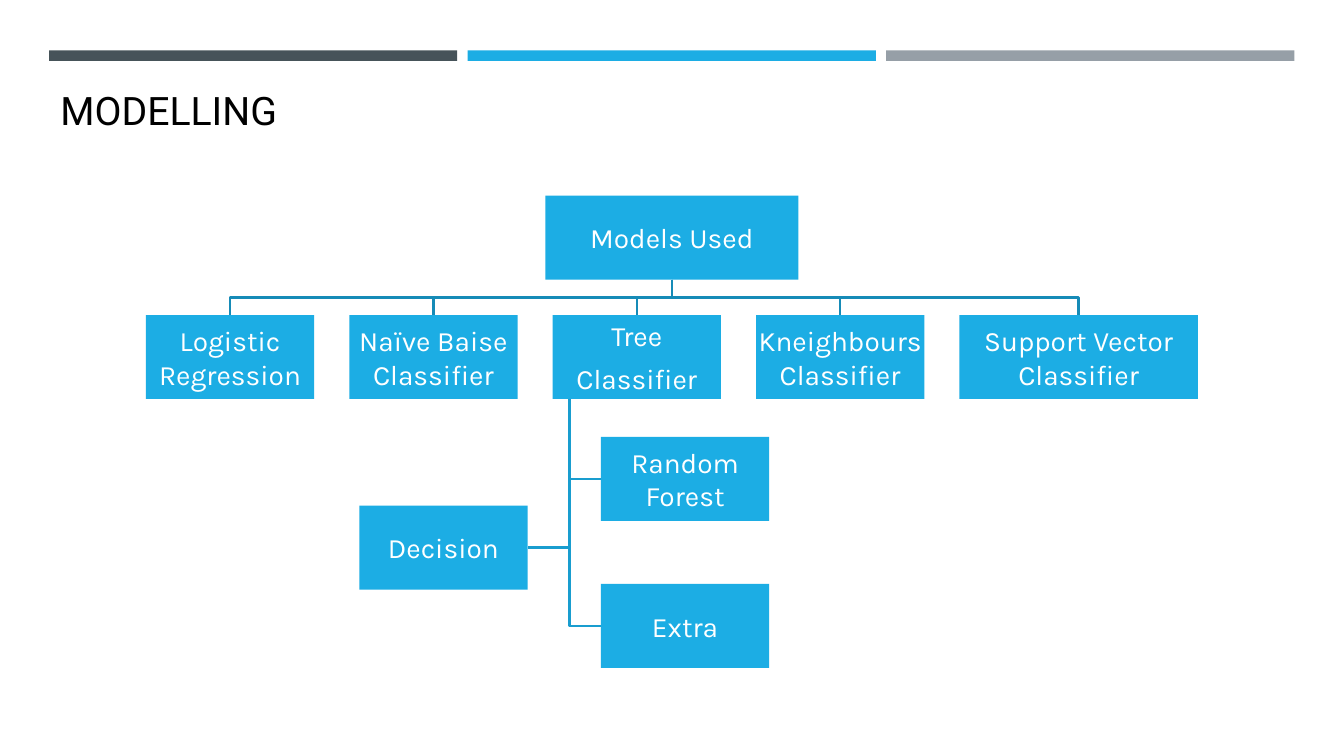
from dataclasses import dataclass

import pptx
import pptx.dml.color
import pptx.enum.shapes
import pptx.enum.text
import pptx.slide
import pptx.util
from pptx.util import Pt

SLATE = pptx.dml.color.RGBColor(0x46, 0x53, 0x59)
SKY = pptx.dml.color.RGBColor(0x1C, 0xAD, 0xE4)
GREY = pptx.dml.color.RGBColor(0x96, 0x9F, 0xA7)
BRANCH = pptx.dml.color.RGBColor(0x16, 0x8B, 0xB7)
SUB_BRANCH = pptx.dml.color.RGBColor(0x19, 0x9D, 0xCF)
BLACK = pptx.dml.color.RGBColor(0, 0, 0)
WHITE = pptx.dml.color.RGBColor(255, 255, 255)

BAND_LEFT, BAND_TOP, BAND_WIDTH, BAND_HEIGHT, BAND_PITCH = 35, 36, 291.6, 7.5, 299
NODE_WIDTH, NODE_HEIGHT = 120.2, 60
ROW_LEFT, ROW_TOP, NODE_GAP = 104.3, 225, 25.05
TRUNK_INSET = 12


@dataclass
class Node:
    label: str
    left: float
    top: float
    width: float = NODE_WIDTH

    @property
    def center(self) -> float:
        return self.left + self.width / 2

    @property
    def middle(self) -> float:
        return self.top + NODE_HEIGHT / 2

    @property
    def right(self) -> float:
        return self.left + self.width

    @property
    def bottom(self) -> float:
        return self.top + NODE_HEIGHT


def classifier_row() -> list[Node]:
    """Place the classifiers side by side with equal gaps."""
    row = []
    left = ROW_LEFT
    for label, width in (
        ("Logistic Regression", NODE_WIDTH),
        ("Naïve Baise Classifier", NODE_WIDTH),
        ("Tree\nClassifier", NODE_WIDTH),
        ("Kneighbours Classifier", NODE_WIDTH),
        ("Support Vector Classifier", 170.4),
    ):
        row.append(Node(label, left, ROW_TOP, width))
        left += width + NODE_GAP
    return row


def draw_rectangle(slide: pptx.slide.Slide, left: float, top: float, width: float,
                   height: float, color: pptx.dml.color.RGBColor):
    rectangle = slide.shapes.add_shape(
        pptx.enum.shapes.MSO_SHAPE.RECTANGLE, Pt(left), Pt(top), Pt(width), Pt(height))
    rectangle.shadow.inherit = False
    rectangle.fill.solid()
    rectangle.fill.fore_color.rgb = color
    rectangle.line.fill.background()
    return rectangle


def draw_node(slide: pptx.slide.Slide, node: Node) -> None:
    frame = draw_rectangle(
        slide, node.left, node.top, node.width, NODE_HEIGHT, SKY).text_frame
    frame.margin_left = frame.margin_right = Pt(1)
    frame.margin_top = frame.margin_bottom = Pt(1)
    frame.word_wrap = True
    frame.vertical_anchor = pptx.enum.text.MSO_ANCHOR.MIDDLE
    frame.text = node.label
    for paragraph in frame.paragraphs:
        paragraph.alignment = pptx.enum.text.PP_ALIGN.CENTER
        paragraph.space_after = Pt(7)
        paragraph.font.name = "Karla"
        paragraph.font.size = Pt(20)
        paragraph.font.color.rgb = WHITE


def draw_branch(slide: pptx.slide.Slide, points: list[tuple[float, float]],
                color: pptx.dml.color.RGBColor) -> None:
    """Draw an open elbow line through the points."""
    start, *rest = [(Pt(x), Pt(y)) for x, y in points]
    builder = slide.shapes.build_freeform(*start)
    builder.add_line_segments(rest, close=False)
    branch = builder.convert_to_shape()
    branch.shadow.inherit = False
    branch.fill.background()
    branch.line.color.rgb = color
    branch.line.width = Pt(1.75)


def draw_title(slide: pptx.slide.Slide) -> None:
    title = slide.shapes.title
    title.left, title.top, title.width, title.height = Pt(36), Pt(52.5), Pt(868), Pt(52)
    frame = title.text_frame
    frame.text = "MODELLING"
    frame.vertical_anchor = pptx.enum.text.MSO_ANCHOR.MIDDLE
    heading = frame.paragraphs[0]
    heading.alignment = pptx.enum.text.PP_ALIGN.LEFT
    heading.font.name = "Roboto"
    heading.font.size = Pt(28)
    heading.font.color.rgb = BLACK


def main() -> None:
    presentation = pptx.Presentation()
    presentation.slide_width, presentation.slide_height = Pt(960), Pt(540)
    slide = presentation.slides.add_slide(presentation.slide_layouts[5])

    for column, color in enumerate((SLATE, SKY, GREY)):
        draw_rectangle(slide, BAND_LEFT + column * BAND_PITCH, BAND_TOP,
                       BAND_WIDTH, BAND_HEIGHT, color)
    draw_title(slide)

    root = Node("Models Used", 389.5, 139.7, 180.8)
    classifiers = classifier_row()
    tree = classifiers[2]
    tree_kinds = [
        Node("Random Forest", 429.3, 312),
        Node("Decision", 256.7, 361.2),
        Node("Extra", 429.3, 417),
    ]

    bus = (root.bottom + ROW_TOP) / 2
    for classifier in classifiers:
        draw_branch(slide, [(root.center, root.bottom), (root.center, bus),
                            (classifier.center, bus), (classifier.center, ROW_TOP)], BRANCH)

    trunk = tree.left + TRUNK_INSET
    for kind in tree_kinds:
        near_edge = kind.left if kind.left > trunk else kind.right
        draw_branch(slide, [(trunk, tree.bottom), (trunk, kind.middle),
                            (near_edge, kind.middle)], SUB_BRANCH)

    for node in (root, *classifiers, *tree_kinds):
        draw_node(slide, node)

    presentation.save("out.pptx")


if __name__ == "__main__":
    main()
